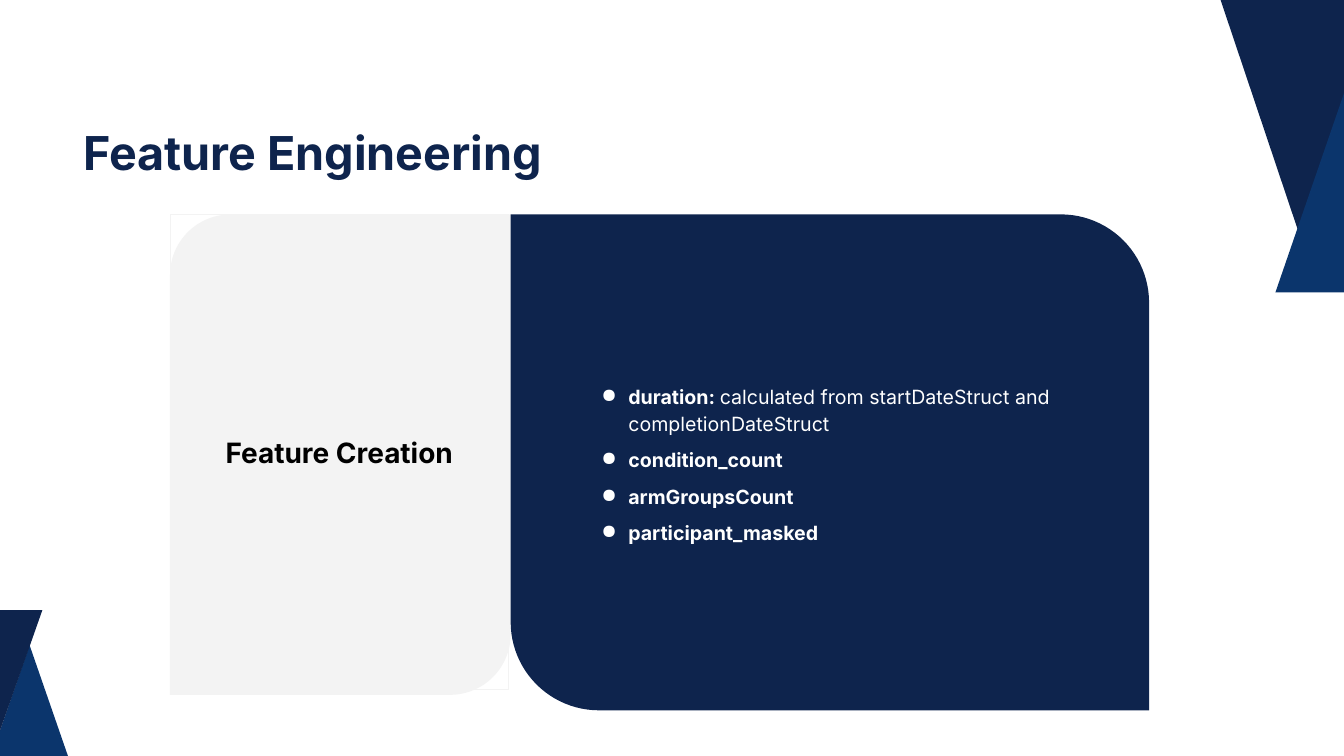
from dataclasses import dataclass

from pptx import Presentation
from pptx import util as u
from pptx.dml.color import RGBColor
from pptx.enum import shapes, text
from pptx.oxml import parse_xml
from pptx.oxml.ns import nsdecls

PX = 9144


@dataclass(frozen=True)
class Theme:
    font: str = "Inter"
    navy: str = "0E244D"
    blue: str = "0B356C"
    grey: str = "F3F3F3"
    white: str = "FFFFFF"
    black: str = "000000"
    title: int = 50
    heading: int = 30
    body: int = 21
    corner: float = 0.178


T = Theme()


def px(*values):
    return [u.Emu(v * PX) for v in values]


def rgb(color):
    return RGBColor.from_string(color)


def fill(sp, color):
    sp.fill.solid()
    sp.fill.fore_color.rgb = rgb(color)
    sp.line.fill.background()
    sp.shadow.inherit = False


def style(r, size, color, bold=True):
    r.font.name = T.font
    r.font.size = u.Pt(size)
    r.font.bold = bold
    r.font.color.rgb = rgb(color)


def frame(sp, inset, anchor):
    tf = sp.text_frame
    tf.word_wrap = True
    tf.vertical_anchor = anchor
    tf.margin_left = tf.margin_top = tf.margin_right = tf.margin_bottom = u.Emu(inset * PX)
    return tf


def triangle(s, box, color, up=True):
    x, y, w, h = box
    base, apex = (y + h, y) if up else (y, y + h)
    fb = s.shapes.build_freeform(x, base, scale=PX)
    fb.add_line_segments([(x + w, base), (x + w // 2, apex)], close=True)
    fill(fb.convert_to_shape(), color)


def corners(s):
    triangle(s, (-36, 960, 160, 231), T.blue)
    triangle(s, (-64, 908, 127, 182), T.navy, up=False)
    triangle(s, (1767, -147, 340, 506), T.navy, up=False)
    triangle(s, (1898, 133, 209, 302), T.blue)


def title(s, box, words):
    sp = s.shapes.add_textbox(*px(*box))
    tf = frame(sp, 0, text.MSO_ANCHOR.TOP)
    tf.text = words
    tf.auto_size = text.MSO_AUTO_SIZE.SHAPE_TO_FIT_TEXT
    p = tf.paragraphs[0]
    p.line_spacing = 1.1
    style(p.runs[0], T.title, T.navy)


def panel(s, box, color, adjustments):
    sp = s.shapes.add_shape(shapes.MSO_SHAPE.ROUND_2_DIAG_RECTANGLE, *px(*box))
    for i, value in enumerate(adjustments):
        sp.adjustments[i] = value
    fill(sp, color)


def heading_panel(s, box, words):
    x, y, w, h = box
    panel(s, box, T.grey, (T.corner, 0))
    sp = s.shapes.add_shape(shapes.MSO_SHAPE.RECTANGLE, *px(x, y, w - 3, h - 8))
    sp.fill.background()
    sp.line.color.rgb = rgb(T.grey)
    sp.line.width = u.Pt(0.75)
    sp.shadow.inherit = False
    tf = frame(sp, 20, text.MSO_ANCHOR.MIDDLE)
    tf.text = words
    p = tf.paragraphs[0]
    p.alignment = text.PP_ALIGN.CENTER
    style(p.runs[0], T.heading, T.black)


def bullet(p, color):
    pPr = p._p.get_or_add_pPr()
    left, hang = px(50, 40)
    pPr.set("marL", str(left))
    pPr.set("indent", str(-hang))
    ns = nsdecls("a")
    pPr.append(parse_xml(f'<a:buClr {ns}><a:srgbClr val="{color}"/></a:buClr>'))
    pPr.append(parse_xml(f'<a:buChar {ns} char="●"/>'))


def list_panel(s, box, items):
    x, y, w, h = box
    panel(s, box, T.navy, (0, T.corner))
    sp = s.shapes.add_textbox(*px(x + 105, y - 6, w - 178, h))
    tf = frame(sp, 20, text.MSO_ANCHOR.MIDDLE)
    tf.margin_top = u.Emu(34 * PX)
    for i, (name, detail) in enumerate(items):
        p = tf.add_paragraph() if i else tf.paragraphs[0]
        bullet(p, T.white)
        p.line_spacing = 1.15
        p.space_before = u.Pt(10 if i else 0)
        for words, bold in ((name, True), (detail, False)):
            if words:
                r = p.add_run()
                r.text = words
                style(r, T.body, T.white, bold)


def main():
    prs = Presentation()
    prs.slide_width, prs.slide_height = px(2000, 1125)
    s = prs.slides.add_slide(prs.slide_layouts[6])
    title(s, (124, 176, 1619, 84), "Feature Engineering")
    corners(s)
    heading_panel(s, (253, 319, 507, 715), "Feature Creation")
    list_panel(s, (760, 319, 950, 738), [
        ("duration: ", "calculated from startDateStruct and completionDateStruct"),
        ("condition_count", ""),
        ("armGroupsCount", ""),
        ("participant_masked", ""),
    ])
    prs.save("out.pptx")


if __name__ == "__main__":
    main()
